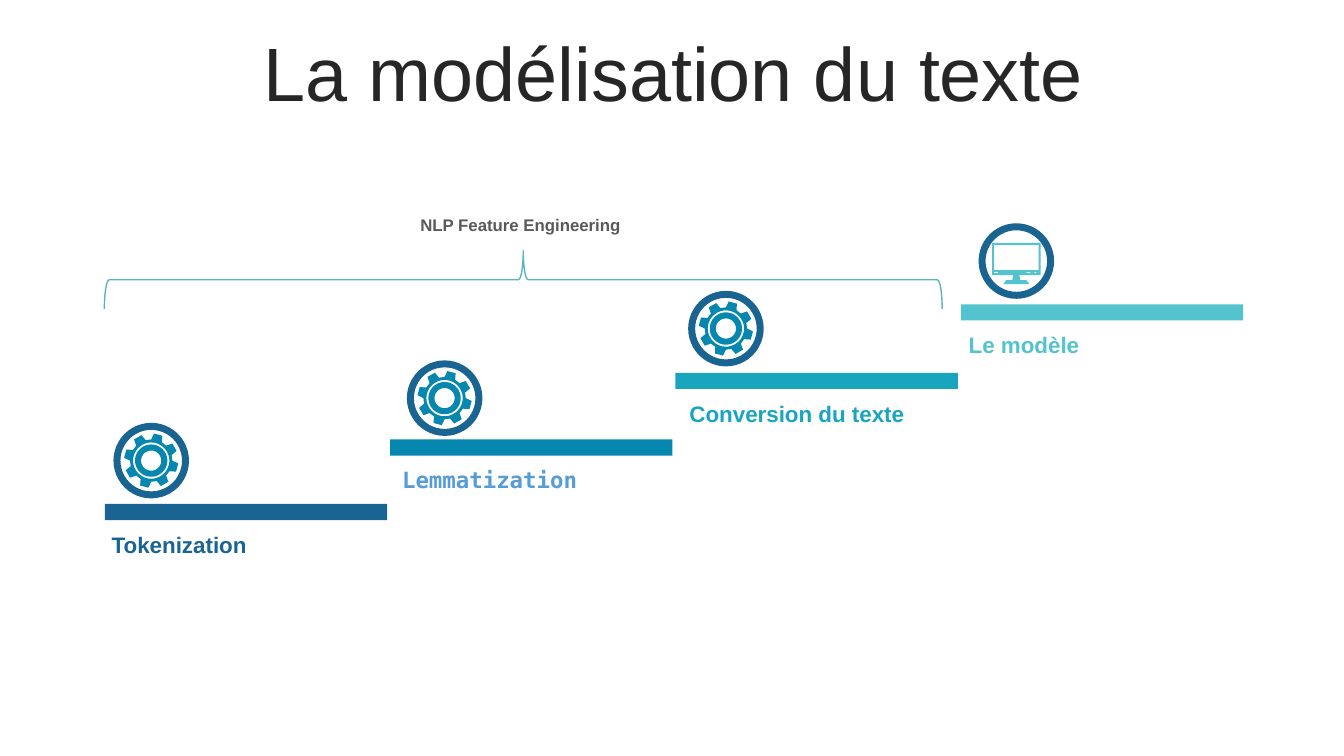
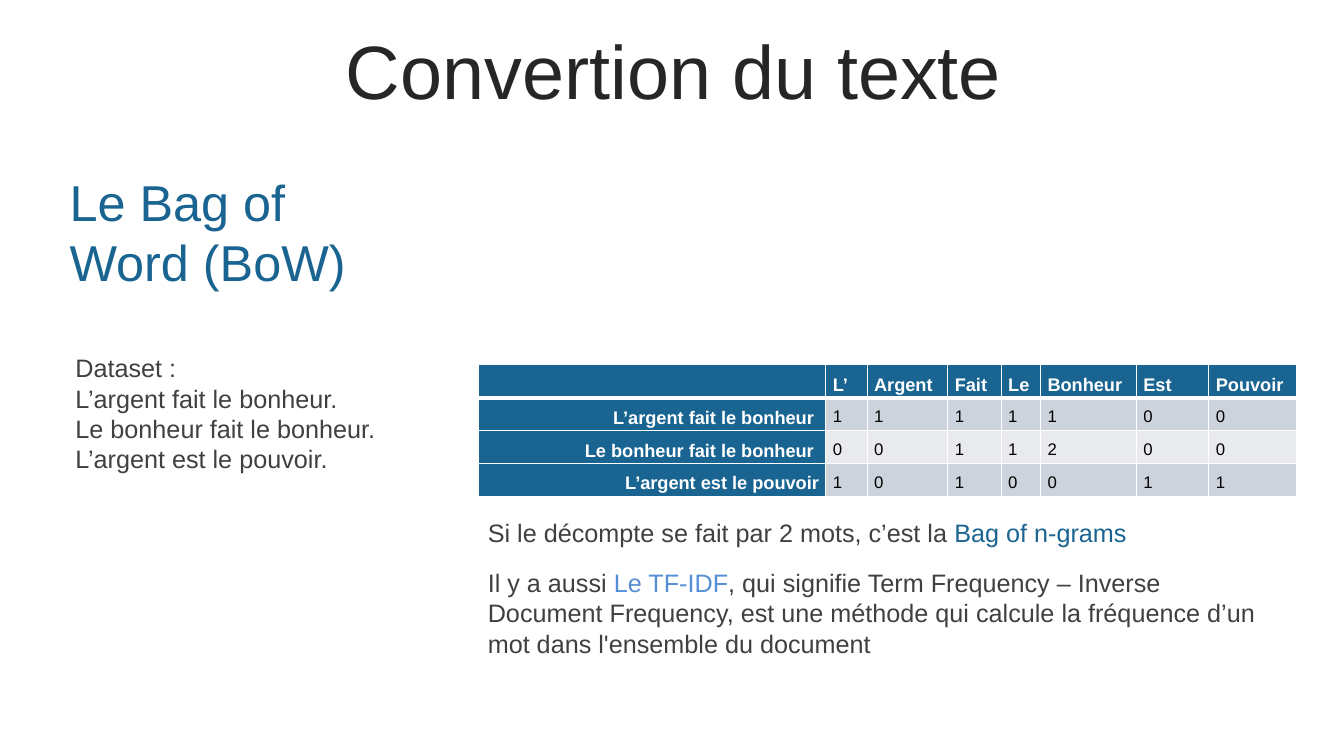
from math import cos, radians, sin

from lxml import etree
from pptx import Presentation
from pptx.dml.color import RGBColor
from pptx.enum.shapes import MSO_SHAPE as SHAPE
from pptx.enum.text import MSO_ANCHOR as ANCHOR, MSO_AUTO_SIZE as AUTO, PP_ALIGN as ALIGN
from pptx.oxml.ns import qn
from pptx.util import Inches, Pt

COLOURS = {name: RGBColor.from_string(value) for name, value in {
    "title": "262626", "text": "404040", "caption": "595959",
    "navy": "196491", "blue": "0587AF", "teal": "19A5BE", "aqua": "53C3CD",
    "sky": "569CD6", "link": "558ED5", "brace": "5AB4C1",
    "white": "FFFFFF", "black": "000000",
    "band1": "CCD3DC", "band2": "E8EAEE",
}.items()}
FONT = "Arial"


def add_text(s, box, paragraphs, size, bold=False, font=FONT):
    """Add a text box; each paragraph is a list of (text, colour) runs."""
    tf = s.shapes.add_textbox(*map(Inches, box)).text_frame
    tf.word_wrap = True
    for i, runs in enumerate(paragraphs):
        p = tf.paragraphs[0] if i == 0 else tf.add_paragraph()
        for text, colour in runs:
            r = p.add_run()
            r.text = text
            for name, value in {"name": font, "size": Pt(size), "bold": bold}.items():
                setattr(r.font, name, value)
            r.font.color.rgb = COLOURS[colour]
    return tf


def add_icon(s, cx, cy, contours, colour):
    """Draw nested contours, given in inches around (cx, cy), as one shape."""
    builder = None
    for contour in contours:
        points = [(Inches(cx + x), Inches(cy + y)) for x, y in contour]
        if builder is None:
            builder = s.shapes.build_freeform(*points[0])
        else:
            builder.move_to(*points[0])
        builder.add_line_segments(points[1:], close=True)
    icon = builder.convert_to_shape()
    icon.shadow.inherit = False
    icon.fill.solid()
    icon.fill.fore_color.rgb = COLOURS[colour]
    icon.line.fill.background()


prs = Presentation()
prs.slide_width, prs.slide_height = Inches(13.33), Inches(7.5)

# Slides and their titles
slides = []
for title, top in [("La modélisation du texte", 0.37), ("Convertion du texte", 0.35)]:
    s = prs.slides.add_slide(prs.slide_layouts[5])
    sp = s.shapes.title
    sp.left, sp.top, sp.width, sp.height = map(Inches, (0.35, top, 12.66, 0.79))
    tf = sp.text_frame
    tf.text = title
    tf.auto_size = AUTO.NONE
    tf.vertical_anchor = ANCHOR.MIDDLE
    p = tf.paragraphs[0]
    p.alignment, p.line_spacing = ALIGN.CENTER, 0.9
    font = p.runs[0].font
    font.name, font.size = FONT, Pt(54)
    font.color.rgb = COLOURS["title"]
    slides.append(s)
steps_slide, bow_slide = slides

# Icon outlines: a gear of eight teeth around three circles, and a monitor
teeth = [(0.27, -9), (0.27, 9), (0.21, 15), (0.21, 30)]
gear = [[(r * cos(radians(a)), r * sin(radians(a))) for r, a in
         [(r, 45 * k - 75 + a) for k in range(8) for r, a in teeth]]]
gear += [[(r * cos(radians(a)), r * sin(radians(a))) for a in range(0, 360, 6)]
         for r in (0.18, 0.16, 0.1)]

right_half = [(0.24, -0.18), (0.24, 0.14), (0.03, 0.14), (0.04, 0.19), (0.1, 0.19), (0.13, 0.23)]
monitor = [right_half + [(-x, y) for x, y in reversed(right_half)]]
monitor += [[(x1, y1), (x2, y1), (x2, y2), (x1, y2)] for x1, y1, x2, y2 in [
    (-0.22, -0.16, 0.22, 0.09), (-0.22, 0.11, -0.18, 0.12),
    (0.1, 0.11, 0.14, 0.12), (0.18, 0.11, 0.2, 0.12)]]

# Rising steps: label, font, bar and label colours, bar top, label left,
# circle left and top, icon and its colour
STEPS = [
    ("Tokenization", FONT, "navy", "navy", 5.0, 1.01, 1.16, 4.23, gear, "blue"),
    ("Lemmatization", "DejaVu Sans Mono", "blue", "sky", 4.36, 3.89, 4.07, 3.61, gear, "blue"),
    ("Conversion du texte", FONT, "teal", "teal", 3.7, 6.74, 6.86, 2.92, gear, "blue"),
    ("Le modèle", FONT, "aqua", "aqua", 3.02, 9.51, 9.74, 2.25, monitor, "aqua"),
]
DIAMETER = 0.68
s = steps_slide
for i, (label, face, bar_colour, label_colour, bar_top, label_left,
        left, top, outline, icon_colour) in enumerate(STEPS):
    bar = s.shapes.add_shape(SHAPE.RECTANGLE, Inches(1.04 + 2.83 * i), Inches(bar_top),
                             Inches(2.8), Inches(0.16))
    circle = s.shapes.add_shape(SHAPE.OVAL, Inches(left), Inches(top),
                                Inches(DIAMETER), Inches(DIAMETER))
    for sp, fill in [(bar, bar_colour), (circle, "white")]:
        sp.shadow.inherit = False
        sp.fill.solid()
        sp.fill.fore_color.rgb = COLOURS[fill]
    bar.line.fill.background()
    circle.line.color.rgb = COLOURS["navy"]
    circle.line.width = Pt(5)
    add_icon(s, left + DIAMETER / 2, top + DIAMETER / 2, outline, icon_colour)
    add_text(s, (label_left, bar_top + 0.22, 2.5, 0.37), [[(label, label_colour)]],
             16, bold=True, font=face)

brace = s.shapes.add_shape(SHAPE.RIGHT_BRACE, Inches(4.9), Inches(-1.38),
                           Inches(0.58), Inches(8.31))
brace.rotation = 270
brace.shadow.inherit = False
brace.fill.background()
brace.line.color.rgb = COLOURS["brace"]
brace.line.width = Pt(1)
add_text(s, (4.07, 2.08, 2.32, 0.3), [[("NLP Feature Engineering", "caption")]], 12, bold=True)

# Bag of words: heading, data set, count table and remarks
s = bow_slide
tf = add_text(s, (0.65, 1.69, 3.34, 1.21), [[("Le Bag of Word (BoW)", "navy")]], 36)
tf.vertical_anchor = ANCHOR.MIDDLE
tf.margin_left = tf.margin_right = Inches(0.04)
tf.margin_top = tf.margin_bottom = 0

add_text(s, (0.65, 3.45, 3.56, 1.31), [[(line, "text")] for line in (
    "Dataset :", "L’argent fait le bonheur.",
    "Le bonheur fait le bonheur. L’argent est le pouvoir.")], 18)

ROWS = [
    ["", "L’", "Argent", "Fait", "Le", "Bonheur", "Est", "Pouvoir"],
    ["L’argent fait le bonheur ", 1, 1, 1, 1, 1, 0, 0],
    ["Le bonheur fait le bonheur ", 0, 0, 1, 1, 2, 0, 0],
    ["L’argent est le pouvoir", 1, 0, 1, 0, 0, 1, 1],
]
WIDTHS = [3.45, 0.41, 0.8, 0.53, 0.39, 0.95, 0.72, 0.87]
table = s.shapes.add_table(len(ROWS), len(WIDTHS), Inches(4.74), Inches(3.62),
                           Inches(sum(WIDTHS)), Inches(1.14)).table
for column, width in zip(table.columns, WIDTHS):
    column.width = Inches(width)
for i, row in enumerate(ROWS):
    for j, value in enumerate(row):
        cell = table.cell(i, j)
        heading = i == 0 or j == 0
        cell.margin_left = cell.margin_right = Inches(0.07)
        cell.margin_top = cell.margin_bottom = 0
        tcPr = cell._tc.get_or_add_tcPr()
        for side in ("L", "R", "T", "B"):
            under_header = (i, side) in [(0, "B"), (1, "T")]
            ln = etree.SubElement(tcPr, qn(f"a:ln{side}"), w=str(Pt(3 if under_header else 1)))
            solid = etree.SubElement(ln, qn("a:solidFill"))
            etree.SubElement(solid, qn("a:srgbClr"), val=str(COLOURS["white"]))
        cell.fill.solid()
        cell.fill.fore_color.rgb = COLOURS["navy" if heading else "band1" if i % 2 else "band2"]
        p = cell.text_frame.paragraphs[0]
        p.alignment = ALIGN.RIGHT if i and j == 0 else ALIGN.JUSTIFY
        p.line_spacing = 1.5
        p.font.size = Pt(13 if heading else 12)
        if value != "":
            r = p.add_run()
            r.text = str(value)
            r.font.name, r.font.size, r.font.bold = FONT, Pt(13 if heading else 12), heading
            r.font.color.rgb = COLOURS["white" if heading else "black"]

add_text(s, (4.74, 5.08, 8, 0.4), [[
    ("Si le décompte se fait par 2 mots, c’est la ", "text"), ("Bag of n-grams", "navy")]], 18)
add_text(s, (4.74, 5.58, 8, 1.01), [[
    ("Il y a aussi ", "text"), ("Le TF-IDF", "link"),
    (", qui signifie Term Frequency – Inverse Document Frequency, est une méthode "
     "qui calcule la fréquence d’un mot dans l'ensemble du document", "text")]], 18)

prs.save("out.pptx")
